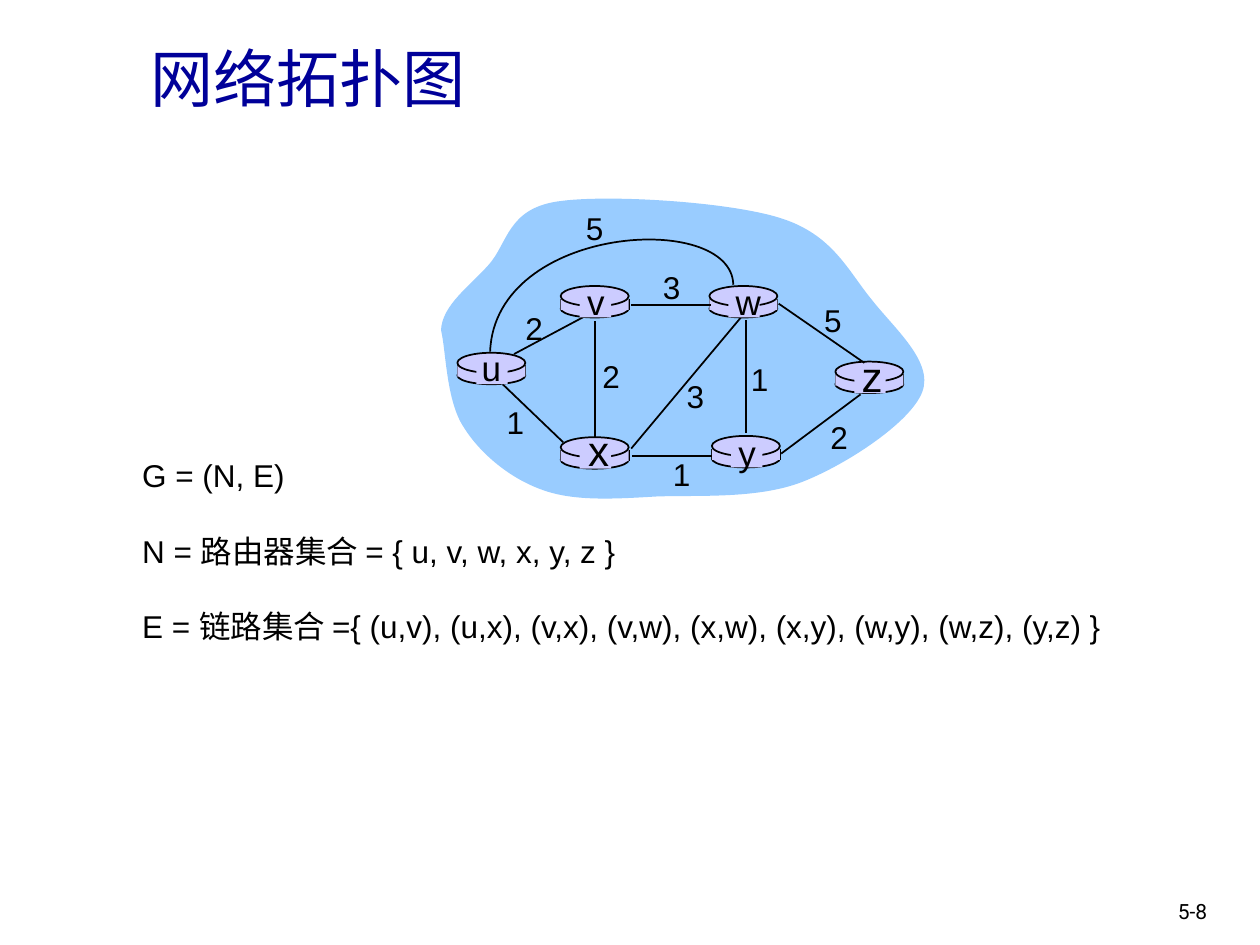
from lxml import etree
from pptx import Presentation
from pptx.dml.color import RGBColor
from pptx.enum.shapes import MSO_CONNECTOR, MSO_SHAPE
from pptx.enum.text import MSO_ANCHOR, PP_ALIGN
from pptx.oxml.ns import qn
from pptx.util import Inches, Pt

OVAL, RECT = MSO_SHAPE.OVAL, MSO_SHAPE.RECTANGLE
STRAIGHT = MSO_CONNECTOR.STRAIGHT
CENTER, MIDDLE = PP_ALIGN.CENTER, MSO_ANCHOR.MIDDLE
BLACK = RGBColor(0, 0, 0)
NAVY = RGBColor(0, 0, 0x99)
SKY = RGBColor(0x99, 0xCC, 0xFF)
LILAC = RGBColor(0xCC, 0xCC, 0xFF)
CJK_FONT = "Noto Sans CJK SC"

TITLE = "网络拓扑图"
DEFINITIONS = [
    "G = (N, E)",
    "N = 路由器集合 = { u, v, w, x, y, z }",
    "E = 链路集合 ={ (u,v), (u,x), (v,x), (v,w), (x,w), (x,y), (w,y), (w,z), (y,z) }",
]
PAGE = "5-8"

# Router name: left, top, letter size, centre of the letter
ROUTERS = {
    "u": (3.63, 2.80, 20, (3.90, 2.92)),
    "x": (4.45, 3.47, 24, (4.75, 3.57)),
    "v": (4.45, 2.27, 20, (4.73, 2.39)),
    "w": (5.63, 2.27, 20, (5.92, 2.39)),
    "y": (5.65, 3.46, 20, (5.93, 3.59)),
    "z": (6.63, 2.87, 24, (6.92, 2.98)),
}
ROUTER_W = 0.54

# Start, end, cost, centre of the cost
BACK_LINKS = [((4.08, 2.81), (4.68, 2.49), "2", (4.24, 2.60))]
LINKS = [
    ((5.92, 2.54), (5.92, 3.44), "1", (6.03, 3.01)),
    ((4.72, 2.55), (4.72, 3.48), "2", (4.85, 2.98)),
    ((5.01, 3.56), (5.88, 2.52), "3", (5.52, 3.14)),
    ((6.20, 3.60), (6.83, 3.13), "2", (6.66, 3.47)),
    ((5.65, 3.62), (5.02, 3.62), "1", (5.41, 3.76)),
    ((4.47, 3.51), (3.99, 3.05), "1", (4.09, 3.35)),
    ((5.64, 2.42), (5.01, 2.42), "3", (5.33, 2.28)),
    ((6.86, 2.88), (6.18, 2.41), "5", (6.61, 2.54)),
]
ARC_COST = ("5", (4.72, 1.81))

# Cubic curves: start point, then control, control, end for each segment
ARC = [(5.82, 2.26), (5.81, 1.67), (3.93, 1.78), (3.89, 2.79)]
CLOUD = [
    (3.5, 2.62),
    (3.51, 2.42), (3.73, 2.27), (3.88, 2.1),
    (4.03, 1.93), (4.03, 1.66), (4.42, 1.6),
    (4.8, 1.54), (5.78, 1.6), (6.19, 1.73),
    (6.61, 1.86), (6.73, 2.15), (6.92, 2.38),
    (7.1, 2.61), (7.41, 2.87), (7.32, 3.11),
    (7.23, 3.35), (6.73, 3.68), (6.38, 3.82),
    (6.03, 3.96), (5.57, 3.93), (5.22, 3.94),
    (4.88, 3.96), (4.56, 3.98), (4.31, 3.89),
    (4.05, 3.8), (3.81, 3.6), (3.68, 3.39),
    (3.54, 3.18), (3.54, 2.78), (3.5, 2.62),
]


def paint(shape, fill=None, line=None):
    shape.shadow.inherit = False
    if fill is None:
        shape.fill.background()
    else:
        shape.fill.solid()
        shape.fill.fore_color.rgb = fill
    if line is None:
        shape.line.fill.background()
    else:
        shape.line.color.rgb = line
        shape.line.width = Pt(1)


def add_block(shapes, kind, box, line=None):
    paint(shapes.add_shape(kind, *map(Inches, box)), LILAC, line)


def add_line(shapes, start, end):
    line = shapes.add_connector(STRAIGHT, *map(Inches, start + end))
    line.line.color.rgb = BLACK
    line.line.width = Pt(1)
    etree.SubElement(line._element.spPr, qn("a:effectLst"))


def add_curve(shapes, points, close, **colours):
    """Build a freeform, then turn each three line steps into one cubic."""
    start, *rest = [tuple(map(Inches, point)) for point in points]
    builder = shapes.build_freeform(*start)
    builder.add_line_segments(rest, close=close)
    shape = builder.convert_to_shape()
    steps = list(shape._element.iter(qn("a:lnTo")))
    for first, second, third in zip(steps[::3], steps[1::3], steps[2::3]):
        cubic = etree.Element(qn("a:cubicBezTo"))
        first.addprevious(cubic)
        for step in (first, second, third):
            cubic.append(step[0])
            step.getparent().remove(step)
    paint(shape, **colours)


def add_text(shapes, box, lines, size, font="Arial", color=BLACK, wrap=True,
             align=None, anchor=None, gap=0):
    tf = shapes.add_textbox(*map(Inches, box)).text_frame
    tf.word_wrap = wrap
    tf.vertical_anchor = anchor
    for i, line in enumerate(lines):
        p = tf.paragraphs[0] if i == 0 else tf.add_paragraph()
        p.alignment = align
        p.space_before = Pt(gap if i else 0)
        r = p.add_run()
        r.text = line
        for name, value in {"size": Pt(size), "name": font}.items():
            setattr(r.font, name, value)
        r.font.color.rgb = color
        etree.SubElement(r._r.get_or_add_rPr(), qn("a:ea"), typeface=CJK_FONT)


def add_label(shapes, text, centre, size):
    w, h = 0.36, 0.1 + size / 60
    add_text(shapes, (centre[0] - w / 2, centre[1] - h / 2, w, h), [text], size,
             wrap=False, align=CENTER, anchor=MIDDLE)


def add_router(shapes, left, top):
    add_block(shapes, OVAL, (left, top + 0.11, ROUTER_W, 0.14), BLACK)
    for x in (left, left + ROUTER_W):
        add_line(shapes, (x, top + 0.1), (x, top + 0.19))
    add_block(shapes, RECT, (left, top + 0.1, ROUTER_W, 0.09))
    add_block(shapes, OVAL, (left, top, ROUTER_W, 0.16), BLACK)


def add_graph(shapes):
    add_curve(shapes, CLOUD, True, fill=SKY)
    for start, end, *_ in BACK_LINKS:
        add_line(shapes, start, end)
    for left, top, *_ in ROUTERS.values():
        add_router(shapes, left, top)
    for start, end, *_ in LINKS:
        add_line(shapes, start, end)
    add_curve(shapes, ARC, False, line=BLACK)
    for name, (left, top, size, centre) in ROUTERS.items():
        add_block(shapes, RECT, (left + 0.15, top + 0.02, 0.25, 0.23))
        add_label(shapes, name, centre, size)
    costs = [link[2:] for link in BACK_LINKS + LINKS] + [ARC_COST]
    for cost, centre in costs:
        add_label(shapes, cost, centre, 18)


def main():
    prs = Presentation()
    prs.slide_width, prs.slide_height = Inches(10), Inches(7.5)
    s = prs.slides.add_slide(prs.slide_layouts[6])
    add_graph(s.shapes.add_group_shape().shapes)
    add_text(s.shapes, (1.03, 3.57, 7.85, 1.62), DEFINITIONS, 18, gap=21.6)
    add_text(s.shapes, (1.1, 0.18, 8.5, 0.87), [TITLE], 36, font=CJK_FONT,
             color=NAVY, anchor=MIDDLE)
    add_text(s.shapes, (9.25, 7.08, 0.6, 0.3), [PAGE], 12, font="Roboto")
    prs.save("out.pptx")


if __name__ == "__main__":
    main()
